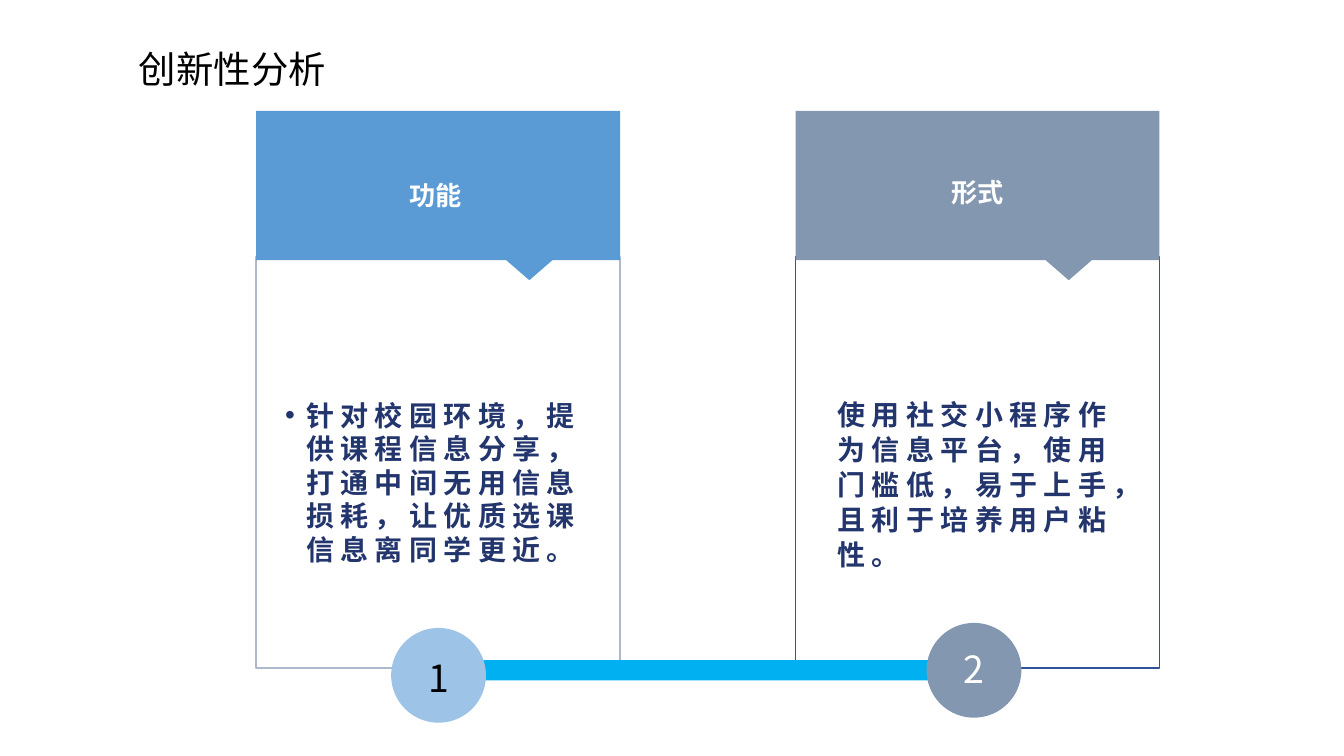
import pptx
import pptx.util
import pptx.dml.color
import pptx.enum.shapes
import pptx.enum.text
import pptx.oxml.ns
import lxml.etree

Inches = pptx.util.Inches
Pt = pptx.util.Pt
SHAPES = pptx.enum.shapes.MSO_SHAPE
ALIGN = pptx.enum.text.PP_ALIGN
ANCHOR = pptx.enum.text.MSO_ANCHOR

FONT = "Noto Sans CJK SC"
COLORS = {
    "white": "FFFFFF",
    "black": "000000",
    "blue": "5B9BD5",
    "slate": "8497B0",
    "pale_border": "ADB9CA",
    "dark_border": "2F5597",
    "bar": "00B0F0",
    "light_blue": "9DC3E6",
    "navy": "23356D",
}
FORMATS = {
    "title": {"size": Pt(26.7), "bold": False},
    "heading": {"size": Pt(18.7), "bold": True},
    "body": {"size": Pt(20), "bold": True},
}
CARD_TOP, CARD_WIDTH = 1.1, 3.61
HEADER_HEIGHT, NOTCH_HEIGHT = 1.48, 1.68
NOTCH_CENTER, NOTCH_HALF = 2.71, 0.23


def rgb(color):
    return pptx.dml.color.RGBColor.from_string(COLORS[color])


def add_element(parent, tag, **attributes):
    return lxml.etree.SubElement(parent, pptx.oxml.ns.qn(tag), attributes)


def paint(shape, fill, border=None):
    shape.shadow.inherit = False
    shape.fill.solid()
    shape.fill.fore_color.rgb = rgb(fill)
    if border:
        shape.line.color.rgb = rgb(border)
        shape.line.width = Pt(1.13)
    else:
        shape.line.fill.background()


def add_box(shapes, kind, box, fill, border=None):
    shape = shapes.add_shape(kind, *map(Inches, box))
    paint(shape, fill, border)
    return shape


def write(shape, text, style, color, align=ALIGN.LEFT, anchor=ANCHOR.MIDDLE, wrap=True):
    frame = shape.text_frame
    frame.word_wrap = wrap
    frame.vertical_anchor = anchor
    paragraph = frame.paragraphs[0]
    paragraph.alignment = align
    run = paragraph.add_run()
    run.text = text
    for name, value in {"name": FONT, **FORMATS[style]}.items():
        setattr(run.font, name, value)
    run.font.color.rgb = rgb(color)
    add_element(run.font._element, "a:ea", typeface=FONT)
    return paragraph


def add_text(slide, box, *content, **layout):
    return write(slide.shapes.add_textbox(*map(Inches, box)), *content, **layout)


def add_body(slide, box, text, line_spacing, bullet=False):
    paragraph = add_text(slide, box, text, "body", "navy", anchor=ANCHOR.TOP)
    paragraph.line_spacing = Pt(line_spacing)
    paragraph.runs[0].font._element.set("spc", "450")
    if bullet:
        properties = paragraph._p.get_or_add_pPr()
        properties.set("marL", str(Inches(0.21)))
        properties.set("indent", str(Inches(-0.21)))
        add_element(properties, "a:buFont", typeface="Arial")
        add_element(properties, "a:buChar", char="•")


def add_card(slide, left, fill, border, heading, heading_box):
    add_box(slide.shapes, SHAPES.RECTANGLE, (left, 2.55, CARD_WIDTH, 4.08), "white", border)
    outline = [
        (0, HEADER_HEIGHT),
        (NOTCH_CENTER - NOTCH_HALF, HEADER_HEIGHT),
        (NOTCH_CENTER, NOTCH_HEIGHT),
        (NOTCH_CENTER + NOTCH_HALF, HEADER_HEIGHT),
        (CARD_WIDTH, HEADER_HEIGHT),
        (CARD_WIDTH, 0),
    ]
    builder = slide.shapes.build_freeform(Inches(left), Inches(CARD_TOP))
    builder.add_line_segments(
        [(Inches(left + x), Inches(CARD_TOP + y)) for x, y in outline], close=True
    )
    paint(builder.convert_to_shape(), fill)
    add_text(slide, heading_box, heading, "heading", "white", align=ALIGN.CENTER)


def add_badge(slide, left, top, number, number_top, fill, color):
    shapes = slide.shapes.add_group_shape().shapes
    for inset in (0, 0.05):
        size = 0.94 - 2 * inset
        add_box(shapes, SHAPES.OVAL, (left + inset, top + inset, size, size), fill)
    label = add_box(shapes, SHAPES.RECTANGLE, (left + 0.24, number_top, 0.46, 0.55), fill)
    write(label, number, "title", color, align=ALIGN.CENTER, wrap=False)


def main():
    presentation = pptx.Presentation()
    presentation.slide_width = Inches(13.33)
    presentation.slide_height = Inches(7.5)
    slide = presentation.slides.add_slide(presentation.slide_layouts[6])

    add_text(slide, (1.28, 0.4, 2.08, 0.55), "创新性分析", "title", "black", wrap=False)
    add_card(slide, 2.54, "blue", "pale_border", "功能", (3.01, 1.72, 2.62, 0.42))
    add_card(slide, 7.89, "slate", "dark_border", "形式", (8.48, 1.69, 2.43, 0.42))
    add_box(slide.shapes, SHAPES.RECTANGLE, (4.35, 6.55, 5.33, 0.2), "bar")
    add_badge(slide, 3.88, 6.23, "1", 6.45, "light_blue", "black")
    add_badge(slide, 9.19, 6.18, "2", 6.36, "slate", "white")
    add_body(
        slide,
        (2.73, 3.9, 3.14, 1.78),
        "针对校园环境，提供课程信息分享，打通中间无用信息损耗，让优质选课信息离同学更近。",
        24,
        bullet=True,
    )
    add_body(
        slide,
        (8.21, 3.88, 2.96, 1.84),
        "使用社交小程序作为信息平台，使用门槛低，易于上手，且利于培养用户粘性。",
        25,
    )
    presentation.save("out.pptx")


if __name__ == "__main__":
    main()
